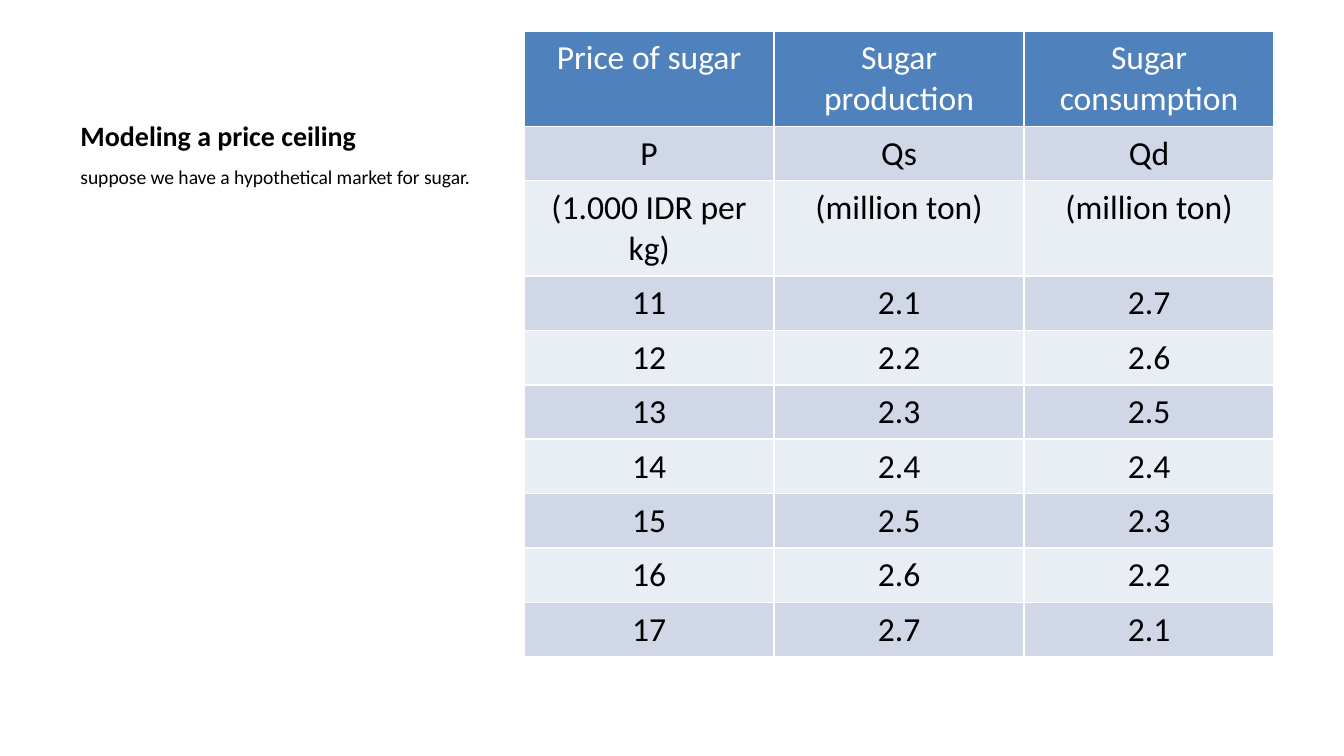
import pptx
import pptx.dml.color
import pptx.enum.text
import pptx.oxml.ns
import pptx.util
from lxml import etree
from pptx.util import Inches

WHITE = pptx.dml.color.RGBColor(0xFF, 0xFF, 0xFF)
BLACK = pptx.dml.color.RGBColor(0x00, 0x00, 0x00)
HEADER_BLUE = pptx.dml.color.RGBColor(0x4F, 0x81, 0xBD)
BAND_DARK = pptx.dml.color.RGBColor(0xD0, 0xD8, 0xE8)
BAND_LIGHT = pptx.dml.color.RGBColor(0xE9, 0xED, 0xF4)
FONT = "Calibri"

HEADINGS = [
    ("Price of sugar", "Sugar production", "Sugar consumption"),
    ("P", "Qs", "Qd"),
    ("(1.000 IDR per kg)", "(million ton)", "(million ton)"),
]
MARKET = [
    (11, 2.1, 2.7),
    (12, 2.2, 2.6),
    (13, 2.3, 2.5),
    (14, 2.4, 2.4),
    (15, 2.5, 2.3),
    (16, 2.6, 2.2),
    (17, 2.7, 2.1),
]
TABLE_HEIGHT = 4.66
TALL_ROW = 0.71
TWO_LINE_ROWS = (0, 2)


def add_run(paragraph, wording, size, color, bold=False):
    run = paragraph.add_run()
    run.text = wording
    run.font.name = FONT
    run.font.size = pptx.util.Pt(size)
    run.font.bold = bold
    run.font.color.rgb = color


def add_text(slide, top, height, wording, size, anchor, bold=False):
    box = slide.shapes.add_textbox(Inches(0.5), Inches(top), Inches(3.29), Inches(height))
    frame = box.text_frame
    frame.word_wrap = True
    frame.vertical_anchor = anchor
    add_run(frame.paragraphs[0], wording, size, BLACK, bold)


def add_borders(cell):
    properties = cell._tc.get_or_add_tcPr()
    for side in "LRTB":
        line = etree.SubElement(properties, pptx.oxml.ns.qn(f"a:ln{side}"), w=str(pptx.util.Pt(1)))
        fill = etree.SubElement(line, pptx.oxml.ns.qn("a:solidFill"))
        etree.SubElement(fill, pptx.oxml.ns.qn("a:srgbClr"), val=str(WHITE))


def fill_cell(cell, wording, row_index):
    is_header = row_index == 0
    add_borders(cell)
    cell.fill.solid()
    band = BAND_DARK if row_index % 2 else BAND_LIGHT
    cell.fill.fore_color.rgb = HEADER_BLUE if is_header else band
    paragraph = cell.text_frame.paragraphs[0]
    paragraph.alignment = pptx.enum.text.PP_ALIGN.CENTER
    add_run(paragraph, wording, 18, WHITE if is_header else BLACK)


def add_market_table(slide):
    rows = HEADINGS + MARKET
    tall_count = len(TWO_LINE_ROWS)
    short_row = (TABLE_HEIGHT - tall_count * TALL_ROW) / (len(rows) - tall_count)
    frame = slide.shapes.add_table(
        len(rows), 3, Inches(3.9), Inches(0.23), Inches(5.58), Inches(TABLE_HEIGHT)
    )
    market_table = frame.table
    for column in market_table.columns:
        column.width = Inches(1.86)
    for row_index, entries in enumerate(rows):
        row_height = TALL_ROW if row_index in TWO_LINE_ROWS else short_row
        market_table.rows[row_index].height = Inches(row_height)
        for column_index, entry in enumerate(entries):
            fill_cell(market_table.cell(row_index, column_index), str(entry), row_index)


def main():
    deck = pptx.Presentation()
    deck.slide_width = Inches(10)
    deck.slide_height = deck.slide_width * 9 // 16
    slide = deck.slides.add_slide(deck.slide_layouts[6])
    anchors = pptx.enum.text.MSO_ANCHOR
    add_text(slide, 0.23, 0.95, "Modeling a price ceiling", 15, anchors.BOTTOM, bold=True)
    add_text(slide, 1.18, 3.85, "suppose we have a hypothetical market for sugar.", 10.5, anchors.TOP)
    add_market_table(slide)
    deck.save("out.pptx")


if __name__ == "__main__":
    main()
